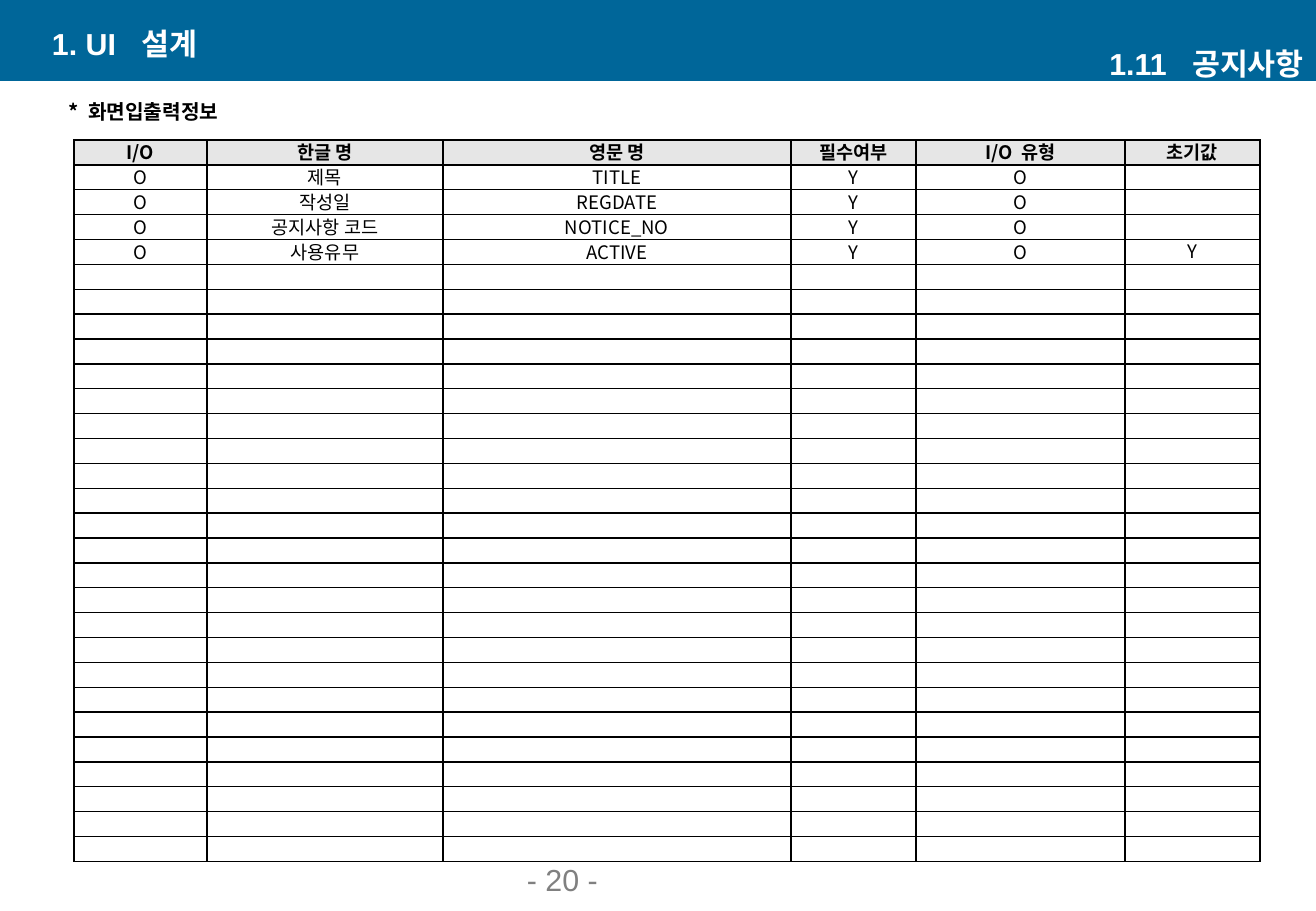
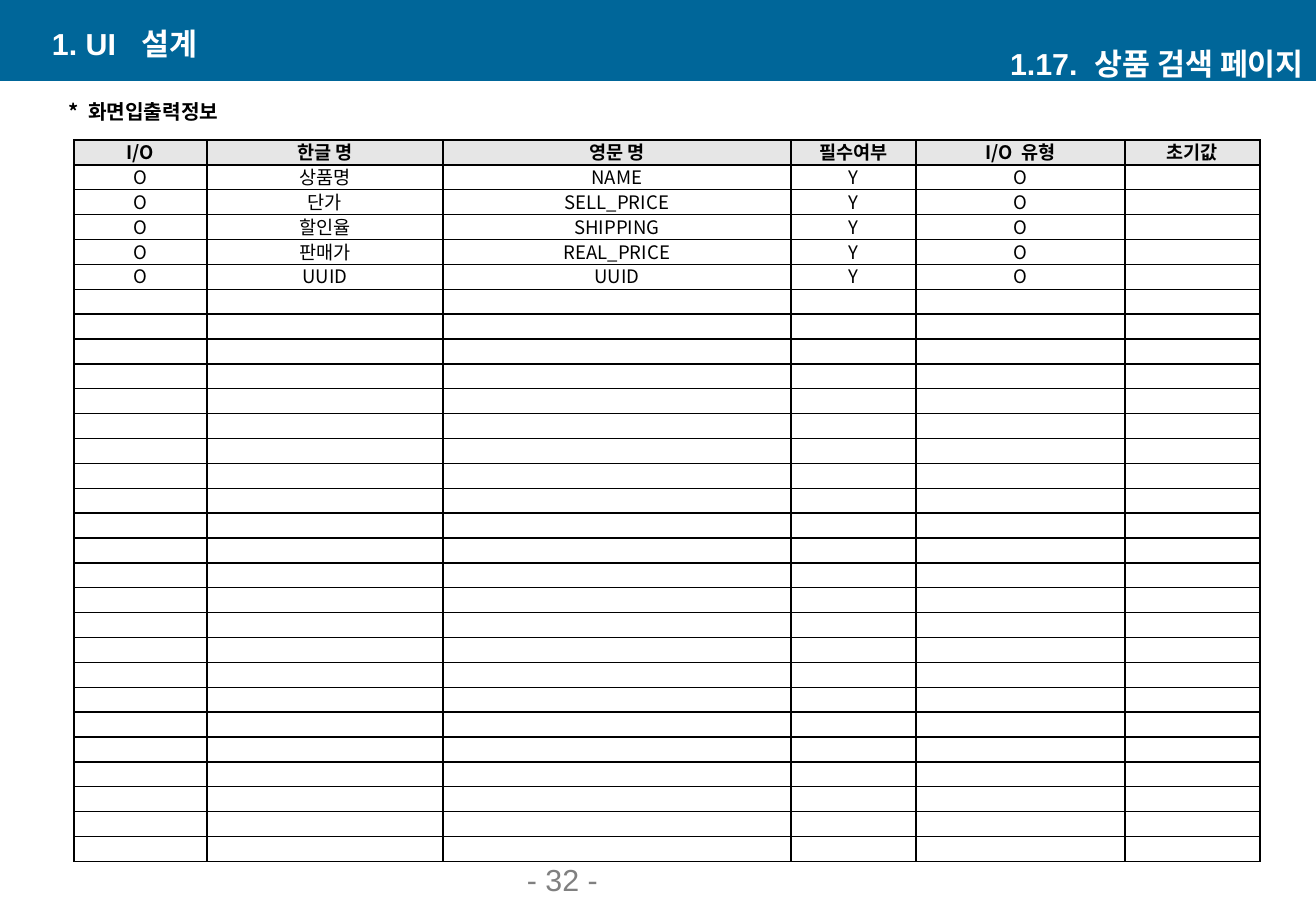
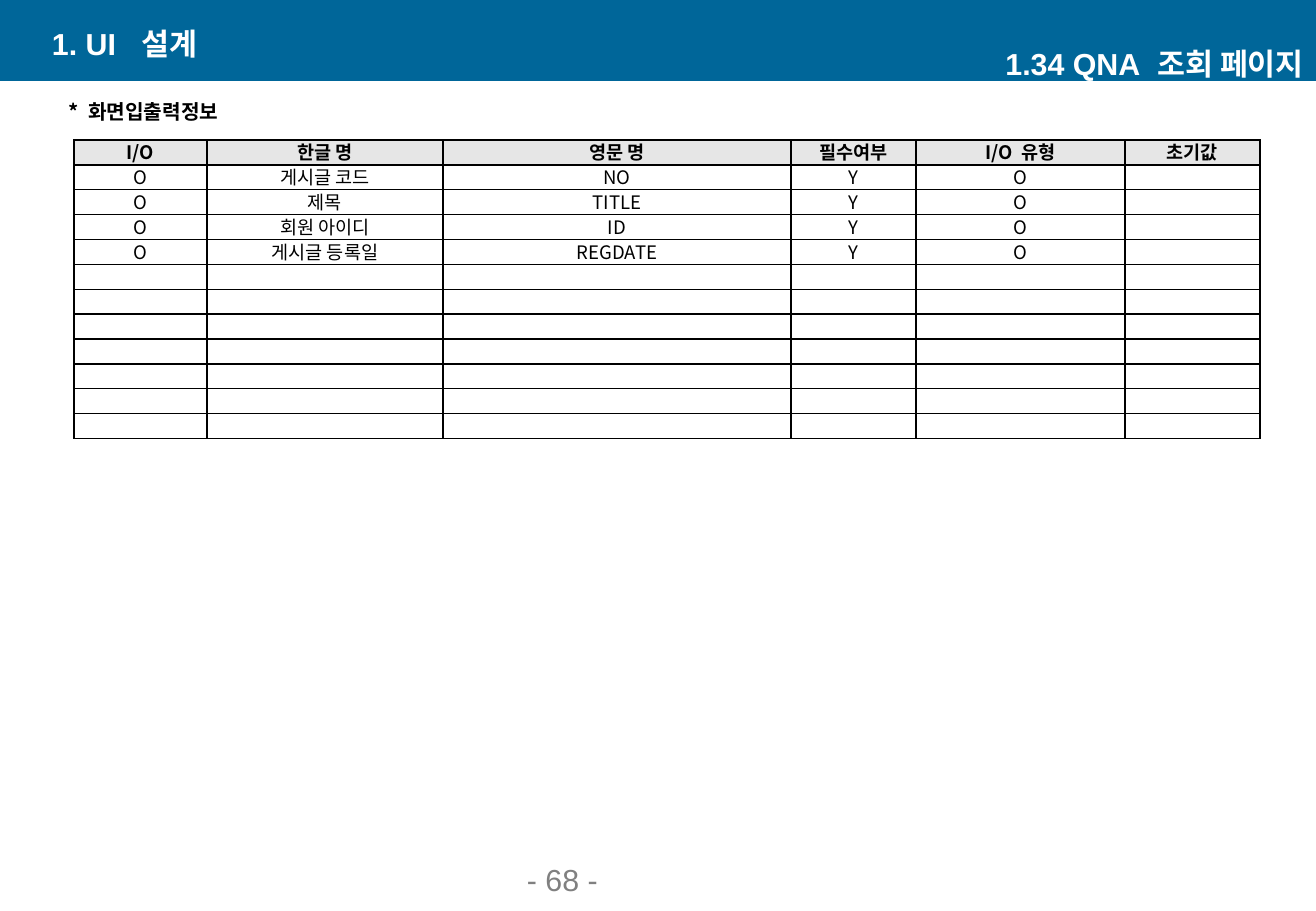
from dataclasses import dataclass
from typing import NamedTuple

from lxml import etree
from pptx import Presentation
from pptx.dml.color import RGBColor
from pptx.enum.shapes import MSO_SHAPE
from pptx.enum.text import MSO_ANCHOR, MSO_AUTO_SIZE, PP_ALIGN
from pptx.oxml.ns import qn
from pptx.util import Pt

RECTANGLE = MSO_SHAPE.RECTANGLE
TOP, MIDDLE, BOTTOM = MSO_ANCHOR.TOP, MSO_ANCHOR.MIDDLE, MSO_ANCHOR.BOTTOM
LEFT, CENTER, RIGHT = PP_ALIGN.LEFT, PP_ALIGN.CENTER, PP_ALIGN.RIGHT
NO_AUTOFIT = MSO_AUTO_SIZE.NONE

PX = 7526
SLIDE_WIDTH, SLIDE_HEIGHT = 1316, 911
BAND_HEIGHT = 81
TITLE_ONLY = 5
LATIN_FONT = "Arial"
KOREAN_FONT = "Noto Sans CJK KR"
COLORS = {
    "band": "006699",
    "title": "FFFFFF",
    "page": "808080",
    "ink": "000000",
    "header": "E6E6E6",
}

TABLE_LEFT, TABLE_TOP = 74, 140
COLUMN_WIDTHS = (133, 236, 348, 125, 209, 135)
FULL_TABLE_HEIGHT, FULL_TABLE_ROWS = 722, 29
ROW_HEIGHT = FULL_TABLE_HEIGHT * PX // FULL_TABLE_ROWS
DEFAULT_COLUMN = 5


class Piece(NamedTuple):
    text: str
    spacing: float = 0


class Box(NamedTuple):
    left: int
    top: int
    width: int
    height: int


@dataclass(frozen=True)
class TextStyle:
    size: int
    color: str
    font: str
    bold: bool = False
    align: PP_ALIGN = LEFT
    anchor: MSO_ANCHOR = MIDDLE


@dataclass(frozen=True)
class Field:
    korean: str
    english: str
    default: str = ""

    def cells(self) -> tuple[str, ...]:
        return "O", self.korean, self.english, "Y", "O", self.default


@dataclass(frozen=True)
class Screen:
    title: tuple[Piece, ...]
    page: int
    fields: tuple[Field, ...]
    rows: int = FULL_TABLE_ROWS


CHAPTER_STYLE = TextStyle(18, "title", LATIN_FONT, True)
TITLE_STYLE = TextStyle(18, "title", LATIN_FONT, True, RIGHT)
PAGE_STYLE = TextStyle(18, "page", LATIN_FONT, anchor=BOTTOM)
CAPTION_STYLE = TextStyle(12, "ink", KOREAN_FONT, True)
HEADER_STYLE = TextStyle(11, "ink", KOREAN_FONT, True, CENTER)
FIELD_STYLE = TextStyle(11, "ink", KOREAN_FONT, False, CENTER, BOTTOM)
DEFAULT_STYLE = TextStyle(11, "ink", KOREAN_FONT, False, CENTER)

CHAPTER_BOX = Box(40, 23, 532, 40)
TITLE_BOX = Box(784, 43, 532, 40)
CAPTION_BOX = Box(57, 94, 185, 35)
PAGE_BOX = Box(515, 866, 275, 38)

CHAPTER = (Piece("1. UI"), Piece(" ", 10), Piece("설계"))
CAPTION = (Piece("*"), Piece(" ", 2.5), Piece("화면입출력정보"))
HEADERS = (
    (Piece("I/O"),),
    (Piece("한글 명"),),
    (Piece("영문 명"),),
    (Piece("필수여부"),),
    (Piece("I/O"), Piece(" ", 2.5), Piece("유형")),
    (Piece("초기값"),),
)

SCREENS = (
    Screen(
        (Piece("1.11"), Piece(" ", 10), Piece("공지사항")),
        20,
        (
            Field("제목", "TITLE"),
            Field("작성일", "REGDATE"),
            Field("공지사항 코드", "NOTICE_NO"),
            Field("사용유무", "ACTIVE", "Y"),
        ),
    ),
    Screen(
        (Piece("1.17."), Piece(" ", 5), Piece("상품 검색 페이지")),
        32,
        (
            Field("상품명", "NAME"),
            Field("단가", "SELL_PRICE"),
            Field("할인율", "SHIPPING"),
            Field("판매가", "REAL_PRICE"),
            Field("UUID", "UUID"),
        ),
    ),
    Screen(
        (Piece("1.34 QNA"), Piece(" ", 5), Piece("조회 페이지")),
        68,
        (
            Field("게시글 코드", "NO"),
            Field("제목", "TITLE"),
            Field("회원 아이디", "ID"),
            Field("게시글 등록일", "REGDATE"),
        ),
        rows=12,
    ),
)


def rgb(name: str) -> RGBColor:
    return RGBColor.from_string(COLORS[name])


def scaled(box: Box) -> list[int]:
    return [length * PX for length in box]


def write(paragraph, pieces: tuple[Piece, ...], style: TextStyle) -> None:
    paragraph.alignment = style.align
    for piece in pieces:
        run = paragraph.add_run()
        run.text = piece.text
        run.font.size = Pt(style.size)
        run.font.bold = style.bold
        run.font.name = style.font
        run.font.color.rgb = rgb(style.color)
        properties = run.font._element
        etree.SubElement(properties, qn("a:ea"), typeface=KOREAN_FONT)
        if piece.spacing:
            properties.set("spc", str(round(piece.spacing * 100)))


def fill_frame(shape, pieces: tuple[Piece, ...], style: TextStyle,
               wrap: bool = True) -> None:
    frame = shape.text_frame
    frame.auto_size = NO_AUTOFIT
    frame.word_wrap = wrap
    frame.vertical_anchor = style.anchor
    write(frame.paragraphs[0], pieces, style)


def add_text(slide, box: Box, pieces: tuple[Piece, ...], style: TextStyle,
             wrap: bool = True) -> None:
    fill_frame(slide.shapes.add_textbox(*scaled(box)), pieces, style, wrap)


def add_title(slide, pieces: tuple[Piece, ...]) -> None:
    title = slide.shapes.title
    title.left, title.top, title.width, title.height = scaled(TITLE_BOX)
    fill_frame(title, pieces, TITLE_STYLE)


def share_band(slide, layout) -> None:
    band = slide.shapes.add_shape(
        RECTANGLE, *scaled(Box(0, 0, SLIDE_WIDTH, BAND_HEIGHT)))
    band.shadow.inherit = False
    band.fill.solid()
    band.fill.fore_color.rgb = rgb("band")
    band.line.fill.background()
    layout.shapes._spTree.insert(2, band._element)


def draw_borders(cell) -> None:
    properties = cell._tc.get_or_add_tcPr()
    for side in ("lnL", "lnR", "lnT", "lnB"):
        border = etree.SubElement(properties, qn(f"a:{side}"), w=str(Pt(1)))
        fill = etree.SubElement(border, qn("a:solidFill"))
        etree.SubElement(fill, qn("a:srgbClr"), val=COLORS["ink"])


def fill_cell(cell, pieces: tuple[Piece, ...], style: TextStyle) -> None:
    draw_borders(cell)
    cell.margin_left = cell.margin_right = PX
    cell.margin_top = cell.margin_bottom = 0
    cell.vertical_anchor = style.anchor
    paragraph = cell.text_frame.paragraphs[0]
    paragraph.line_spacing = Pt(14.5 if style.anchor == BOTTOM else 14)
    if pieces:
        write(paragraph, pieces, style)
    else:
        etree.SubElement(paragraph._p, qn("a:endParaRPr"), sz="800")


def add_field_table(slide, screen: Screen) -> None:
    table = slide.shapes.add_table(
        screen.rows, len(COLUMN_WIDTHS), TABLE_LEFT * PX, TABLE_TOP * PX,
        sum(COLUMN_WIDTHS) * PX, ROW_HEIGHT * screen.rows).table
    table.first_row = table.horz_banding = False
    for column, width in zip(table.columns, COLUMN_WIDTHS):
        column.width = width * PX
    for row in table.rows:
        row.height = ROW_HEIGHT
    for index, pieces in enumerate(HEADERS):
        cell = table.cell(0, index)
        fill_cell(cell, pieces, HEADER_STYLE)
        cell.fill.solid()
        cell.fill.fore_color.rgb = rgb("header")
    blank = ("",) * len(COLUMN_WIDTHS)
    for number in range(1, screen.rows):
        used = number <= len(screen.fields)
        values = screen.fields[number - 1].cells() if used else blank
        for index, value in enumerate(values):
            cell = table.cell(number, index)
            style = DEFAULT_STYLE if index == DEFAULT_COLUMN else FIELD_STYLE
            fill_cell(cell, (Piece(value),) if value else (), style)
            cell.fill.background()


def add_screen(deck, layout, screen: Screen):
    slide = deck.slides.add_slide(layout)
    add_title(slide, screen.title)
    add_text(slide, CHAPTER_BOX, CHAPTER, CHAPTER_STYLE)
    add_text(slide, CAPTION_BOX, CAPTION, CAPTION_STYLE, wrap=False)
    add_field_table(slide, screen)
    add_text(slide, PAGE_BOX, (Piece(f"- {screen.page} -"),), PAGE_STYLE)
    return slide


def main() -> None:
    deck = Presentation()
    deck.slide_width = SLIDE_WIDTH * PX
    deck.slide_height = SLIDE_HEIGHT * PX
    layout = deck.slide_layouts[TITLE_ONLY]
    slides = [add_screen(deck, layout, screen) for screen in SCREENS]
    share_band(slides[0], layout)
    deck.save("out.pptx")


if __name__ == "__main__":
    main()
